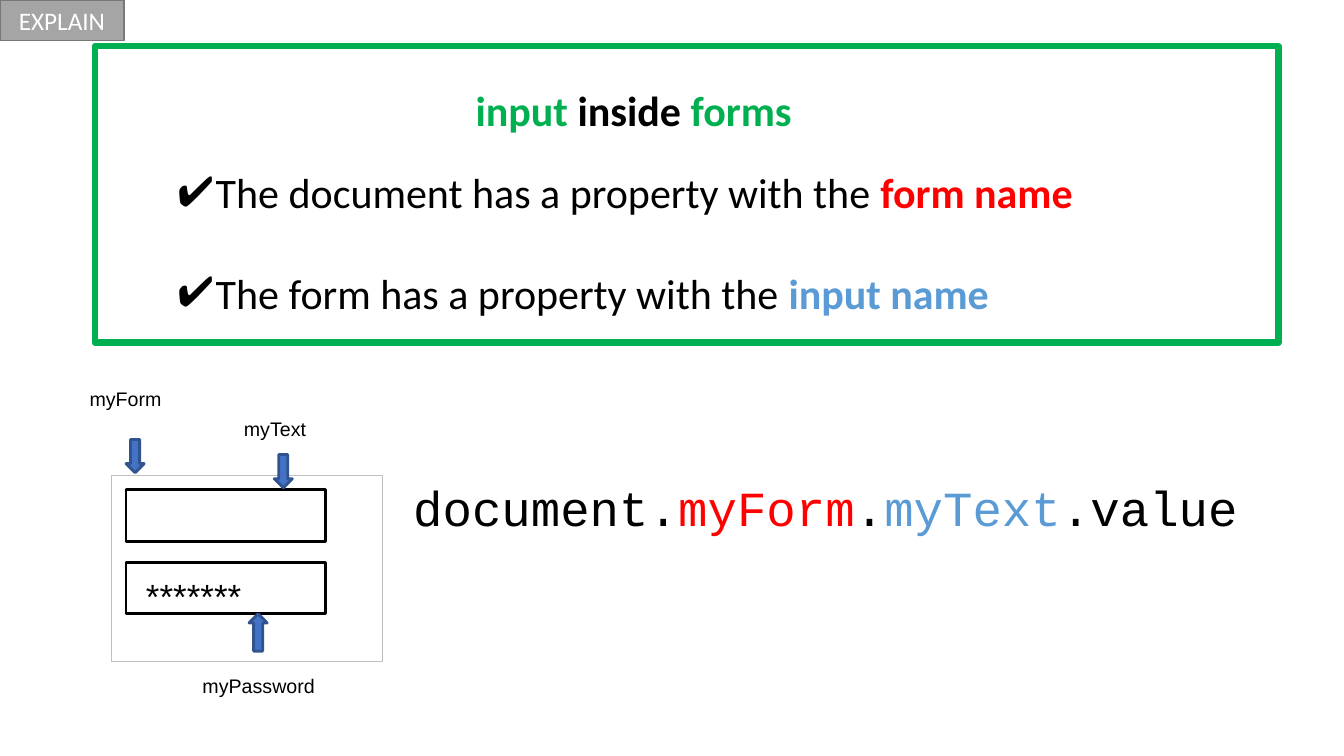
from lxml import etree
from pptx import Presentation
from pptx.dml.color import RGBColor
from pptx.enum import shapes, text
from pptx.oxml import ns
from pptx.util import Emu, Pt

EMU_PER_PX = 9144  # 100 px to the inch

BLACK = RGBColor(0x00, 0x00, 0x00)
WHITE = RGBColor(0xFF, 0xFF, 0xFF)
GREEN = RGBColor(0x00, 0xB0, 0x50)
RED = RGBColor(0xFF, 0x00, 0x00)
LIGHT_BLUE = RGBColor(0x5B, 0x9B, 0xD5)
ARROW_BLUE = RGBColor(0x44, 0x72, 0xC4)
ARROW_EDGE = RGBColor(0x31, 0x53, 0x8F)
GRAY = RGBColor(0xA5, 0xA5, 0xA5)
GRAY_EDGE = RGBColor(0x78, 0x78, 0x78)
PALE_GRAY = RGBColor(0xBF, 0xBF, 0xBF)


def px(length):
    return Emu(length * EMU_PER_PX)


class SlideBuilder:
    HEADING_FONT = "Calibri"
    LABEL_FONT = "Arial"
    CODE_FONT = "Courier New"
    HEADING_SIZE = 30

    def __init__(self, deck):
        self.slide = deck.slides.add_slide(deck.slide_layouts[1])

    def place(self, item, box):
        item.left, item.top, item.width, item.height = map(px, box)

    def set_frame(self, frame, anchor=text.MSO_ANCHOR.TOP):
        frame.word_wrap = True
        frame.auto_size = text.MSO_AUTO_SIZE.NONE
        frame.vertical_anchor = anchor

    def add_runs(self, paragraph, runs, font, size):
        """Add (words, colour, bold) runs to the paragraph."""
        for words, color, bold in runs:
            run = paragraph.add_run()
            run.text = words
            run.font.name = font
            run.font.size = Pt(size)
            run.font.bold = bold
            run.font.color.rgb = color

    def title(self, box, runs):
        heading = self.slide.shapes.title
        self.place(heading, box)
        self.set_frame(heading.text_frame)
        paragraph = heading.text_frame.paragraphs[0]
        paragraph.alignment = text.PP_ALIGN.CENTER
        self.add_runs(paragraph, runs, self.HEADING_FONT, self.HEADING_SIZE)

    def check_list(self, box, points, gap):
        body = self.slide.placeholders[1]
        self.place(body, box)
        frame = body.text_frame
        self.set_frame(frame)
        for index, runs in enumerate(points):
            paragraph = frame.add_paragraph() if index else frame.paragraphs[0]
            paragraph.space_before = Pt(gap if index else 0)
            self.check_bullet(paragraph, indent=38)
            self.add_runs(paragraph, runs, self.HEADING_FONT, self.HEADING_SIZE)

    def check_bullet(self, paragraph, indent):
        properties = paragraph._p.get_or_add_pPr()
        properties.set("marL", str(px(indent)))
        properties.set("indent", str(-px(indent)))
        color = etree.SubElement(properties, ns.qn("a:buClr"))
        etree.SubElement(color, ns.qn("a:srgbClr"), val=str(BLACK))
        etree.SubElement(properties, ns.qn("a:buChar"), char="✔")

    def textbox(self, box, runs, font, size):
        frame = self.slide.shapes.add_textbox(*map(px, box)).text_frame
        self.set_frame(frame)
        self.add_runs(frame.paragraphs[0], runs, font, size)

    def label(self, box, words, size=14):
        self.textbox(box, [(words, BLACK, False)], self.LABEL_FONT, size)

    def shape(self, kind, box, edge, weight, fill=None):
        item = self.slide.shapes.add_shape(kind, *map(px, box))
        item.shadow.inherit = False
        item.line.color.rgb = edge
        item.line.width = Pt(weight)
        if fill is None:
            item.fill.background()
        else:
            item.fill.solid()
            item.fill.fore_color.rgb = fill
        return item

    def rectangle(self, box, edge, weight, fill=None):
        return self.shape(shapes.MSO_SHAPE.RECTANGLE, box, edge, weight, fill)

    def arrow(self, box, rotation=0):
        pointer = self.shape(shapes.MSO_SHAPE.DOWN_ARROW, box, ARROW_EDGE, 2, ARROW_BLUE)
        pointer.rotation = rotation

    def tag(self, box, words):
        corner = self.rectangle(box, GRAY_EDGE, 1, GRAY)
        self.set_frame(corner.text_frame, text.MSO_ANCHOR.MIDDLE)
        paragraph = corner.text_frame.paragraphs[0]
        paragraph.alignment = text.PP_ALIGN.CENTER
        self.add_runs(paragraph, [(words, WHITE, False)], self.HEADING_FONT, 18)


def main():
    deck = Presentation()
    deck.slide_width, deck.slide_height = px(1333), px(750)
    page = SlideBuilder(deck)

    page.rectangle((94, 46, 1174, 294), GREEN, 4.5)
    page.title((28, 79, 1201, 61), [
        ("input", GREEN, True), (" inside ", BLACK, True), ("forms", GREEN, True)])
    page.check_list((166, 160, 1019, 161), [
        [("The document has a property with the ", BLACK, False), ("form name", RED, True)],
        [("The form has a property with the ", BLACK, False), ("input name", LIGHT_BLUE, True)],
    ], gap=36)
    page.textbox((400, 469, 930, 69), [
        ("document.", BLACK, False), ("myForm", RED, False), (".", BLACK, False),
        ("myText", LIGHT_BLUE, False), (".value", BLACK, False),
    ], page.CODE_FONT, 35)
    page.tag((0, 0, 123, 40), "EXPLAIN")

    for field_top in (486, 558):
        page.rectangle((125, field_top, 198, 51), BLACK, 2, WHITE)
    page.label((135, 565, 116, 52), "*******", size=25)
    page.rectangle((111, 472, 268, 184), PALE_GRAY, 0.75)

    page.label((79, 379, 94, 34), "myForm")
    page.arrow((125, 436, 18, 33))
    page.label((232, 409, 98, 34), "myText")
    page.arrow((272, 451, 18, 33))
    page.label((191, 664, 134, 34), "myPassword")
    page.arrow((247, 609, 18, 37), rotation=180)

    deck.save("out.pptx")


if __name__ == "__main__":
    main()
